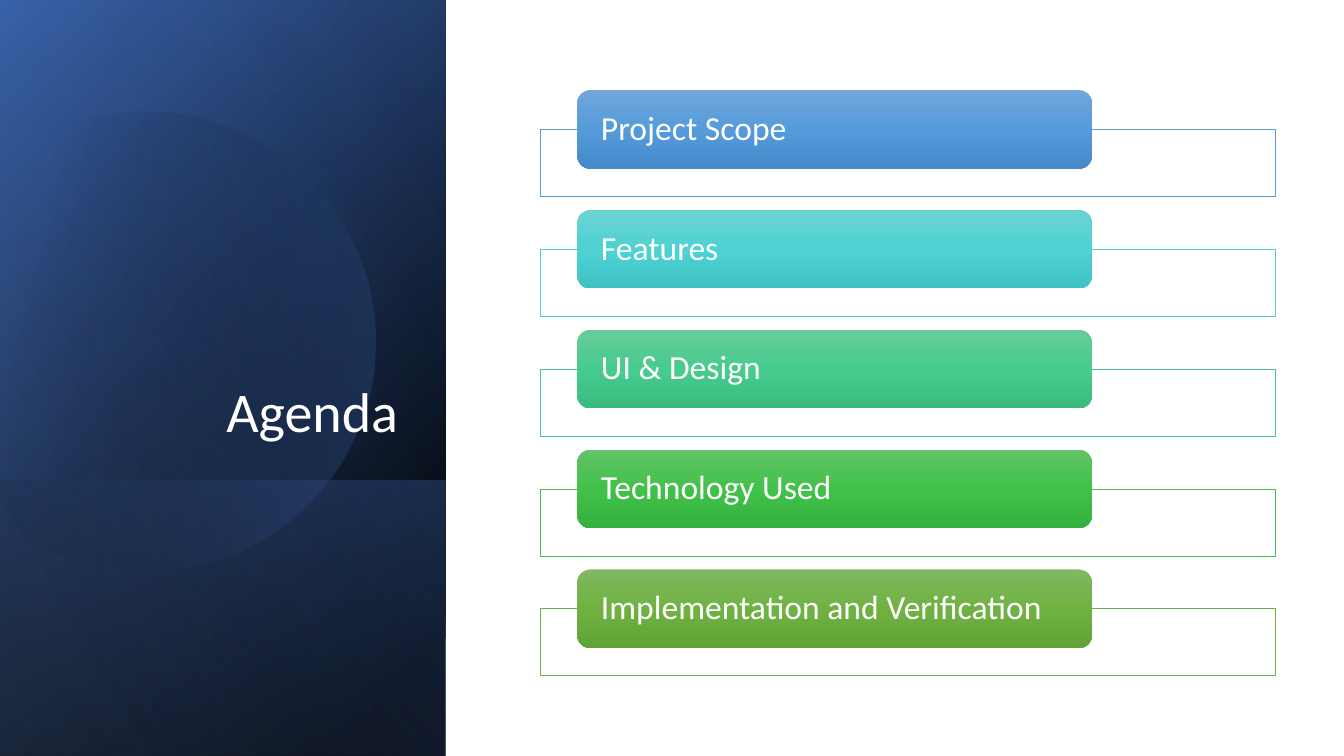
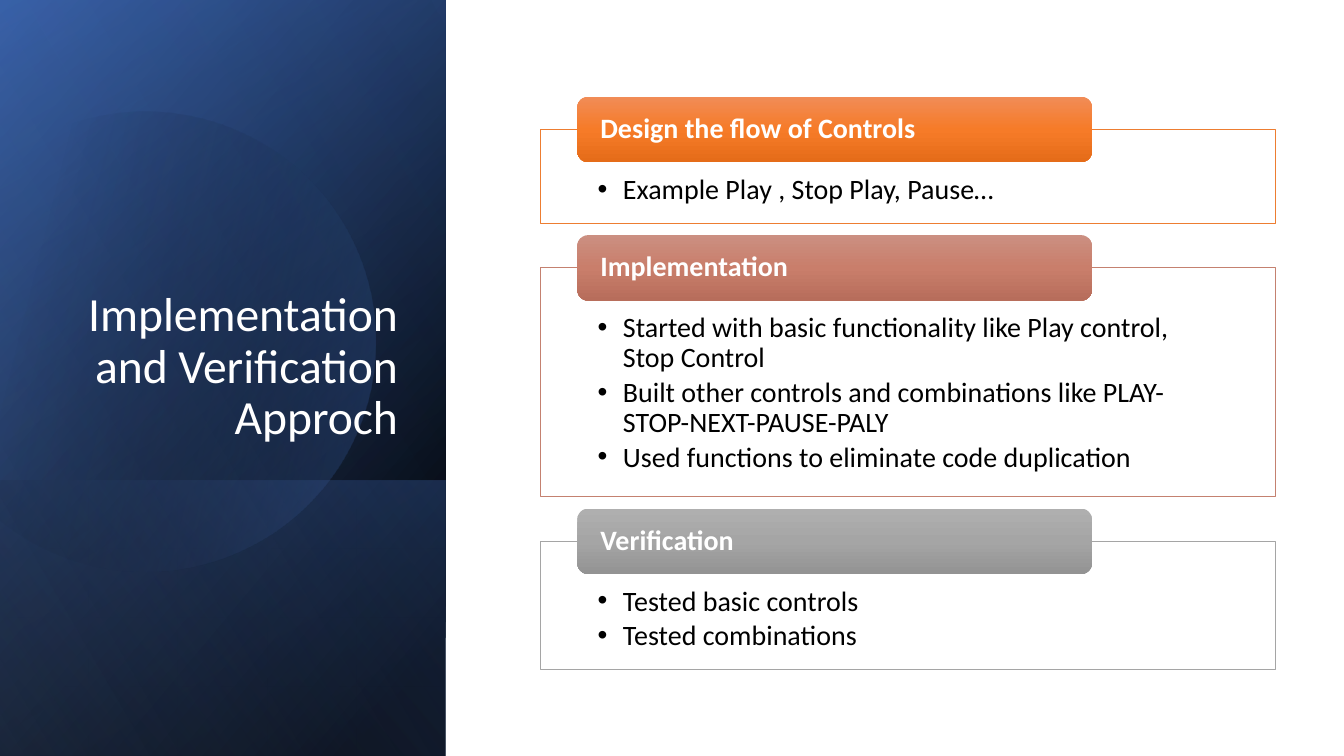
"""Build two slides that share a dark title panel and a stack of headed boxes."""
from math import cos, radians, sin

from pptx import Presentation
from pptx.dml.color import RGBColor
from pptx.enum.shapes import MSO_SHAPE as SHAPE
from pptx.enum.text import MSO_ANCHOR as ANCHOR, PP_ALIGN as ALIGN
from pptx.oxml import parse_xml
from pptx.oxml.ns import nsdecls, qn
from pptx.util import Cm, Pt

FONT = "Calibri"
WHITE, BLACK = "FFFFFF", "000000"
SLIDE_W, SLIDE_H = 33.87, 19.05
PANEL_W = 11.23
BOX_X, BOX_W, FIRST_BOX_Y = 13.61, 18.52, 3.26
HEAD_X, HEAD_W = 14.55, 12.97

# (length up from the bottom edge, angle, stops of position, colour, opacity)
PANEL_LAYERS = [
    (SLIDE_H, 50, [(8, BLACK, 100), (100, "2F5597", 100)]),
    (SLIDE_H, 30, [(0, BLACK, 0), (99, "4472C4", 46)]),
    (6.95, 130, [(2, "4472C4", 29), (100, BLACK, 30)]),
    (SLIDE_H, 120, [(0, BLACK, 0), (99, "8FAADC", 11)]),
]
DISC_X, DISC_Y, DISC_R = 3.64, 8.5, 5.8
DISC_ANGLES = [-118, -90, 0, 90, 150]
DISC_STOPS = [(29, BLACK, 0), (100, "4472C4", 43)]

SLIDES = [
    dict(title="Agenda", title_size=40, size=24, bold=False, head_h=1.98, gap=1.33, boxes=[
        ("Project Scope", 1.69, "5B9BD5", ["71A6DB", "559BDB", "448ACA"], []),
        ("Features", 1.69, "54CCCD", ["6CD3D3", "4ED2D3", "3EC2C3"], []),
        ("UI & Design", 1.69, "4DC58D", ["67CC9A", "47CB8E", "39BB7F"], []),
        ("Technology Used", 1.69, "48BB4F", ["63C368", "42C14A", "34B23D"], []),
        ("Implementation and Verification", 1.69, "70AD47",
         ["81B861", "6FB242", "62A336"], []),
    ]),
    dict(title="Implementation and Verification Approch", title_size=34, size=20, bold=True,
         head_h=1.65, gap=1.13, boxes=[
        ("Design the flow of Controls", 2.36, "ED7D31", ["F18C57", "F67B28", "E56C19"],
         ["Example Play , Stop Play, Pause…"]),
        ("Implementation", 5.76, "C48170", ["CB8F81", "C97E6B", "B76D5B"],
         ["Started with basic functionality like Play control, Stop Control",
          "Built other controls and combinations like PLAY-STOP-NEXT-PAUSE-PALY",
          "Used functions to eliminate code duplication"]),
        ("Verification", 3.23, "A5A5A5", ["AFAFAF", "A5A5A5", "939393"],
         ["Tested basic controls", "Tested combinations"]),
    ]),
]


def paint(sp, colour, angle=90, line=None):
    sp.shadow.inherit = False
    if line:
        sp.line.color.rgb = RGBColor.from_string(line)
        sp.line.width = Pt(0.5)
    else:
        sp.line.fill.background()
    if isinstance(colour, str):
        sp.fill.solid()
        sp.fill.fore_color.rgb = RGBColor.from_string(colour)
        return
    stops = "".join(
        f'<a:gs pos="{pos * 1000}"><a:srgbClr val="{rgb}"><a:alpha val="{alpha * 1000}"/>'
        f"</a:srgbClr></a:gs>" for pos, rgb, alpha in colour)
    sp.fill.background()
    props = sp._element.spPr
    props.replace(props.find(qn("a:noFill")), parse_xml(
        f'<a:gradFill {nsdecls("a")} rotWithShape="1"><a:gsLst>{stops}</a:gsLst>'
        f'<a:lin ang="{angle * 60000}" scaled="0"/></a:gradFill>'))


def write(sp, lines, size, colour=WHITE, bold=False, align=ALIGN.LEFT,
          anchor=ANCHOR.MIDDLE, insets=(0.5, 0, 0.5, 0), bullet=False):
    tf = sp.text_frame
    tf.word_wrap = True
    tf.vertical_anchor = anchor
    tf.margin_left, tf.margin_top, tf.margin_right, tf.margin_bottom = map(Cm, insets)
    for i, line in enumerate(lines):
        p = tf.add_paragraph() if i else tf.paragraphs[0]
        p.alignment = align
        p.line_spacing = 0.9
        if bullet:
            p.space_after = Pt(3)
            props = p._p.get_or_add_pPr()
            props.set("marL", str(Cm(0.64)))
            props.set("indent", str(-Cm(0.64)))
            props.append(parse_xml(f'<a:buFont {nsdecls("a")} typeface="Arial"/>'))
            props.append(parse_xml(f'<a:buChar {nsdecls("a")} char="•"/>'))
        r = p.add_run()
        r.text = line
        r.font.name, r.font.size, r.font.bold = FONT, Pt(size), bold
        r.font.color.rgb = RGBColor.from_string(colour)


prs = Presentation()
prs.slide_width, prs.slide_height = Cm(SLIDE_W), Cm(SLIDE_H)

for page in SLIDES:
    s = prs.slides.add_slide(prs.slide_layouts[6])

    for i, (length, angle, stops) in enumerate(PANEL_LAYERS):
        if i == len(PANEL_LAYERS) - 1:
            corners = [(Cm(DISC_X + DISC_R * cos(radians(a))),
                        Cm(DISC_Y + DISC_R * sin(radians(a)))) for a in DISC_ANGLES]
            outline = s.shapes.build_freeform(*corners[0])
            outline.add_line_segments(corners[1:], close=True)
            disc = outline.convert_to_shape()
            sides = list(disc._element.iter(qn("a:lnTo")))
            for side, start, end in zip(sides, DISC_ANGLES, DISC_ANGLES[1:]):
                side.getparent().replace(side, parse_xml(
                    f'<a:arcTo {nsdecls("a")} wR="{Cm(DISC_R)}" hR="{Cm(DISC_R)}" '
                    f'stAng="{start % 360 * 60000}" swAng="{(end - start) * 60000}"/>'))
            disc.rotation = 343.9
            paint(disc, DISC_STOPS, angle=30)
        layer = s.shapes.add_shape(
            SHAPE.RECTANGLE, Cm((PANEL_W - length) / 2),
            Cm(SLIDE_H - (length + PANEL_W) / 2), Cm(length), Cm(PANEL_W))
        layer.rotation = 90
        layer._element.spPr.xfrm.set("flipH", "1")
        paint(layer, stops, angle)

    title = s.shapes.add_textbox(Cm(1.63), Cm(4.69), Cm(8.65), Cm(6.65))
    write(title, [page["title"]], page["title_size"], align=ALIGN.RIGHT,
          anchor=ANCHOR.BOTTOM, insets=(0.25, 0.13, 0.25, 0.13))

    y = FIRST_BOX_Y
    for heading, height, line, shades, points in page["boxes"]:
        box = s.shapes.add_shape(SHAPE.RECTANGLE, Cm(BOX_X), Cm(y), Cm(BOX_W), Cm(height))
        paint(box, WHITE, line=line)
        if points:
            write(box, points, 20, colour=BLACK, anchor=ANCHOR.TOP,
                  insets=(1.45, 1.15, 1.45, 0.41), bullet=True)
        head = s.shapes.add_shape(SHAPE.ROUNDED_RECTANGLE, Cm(HEAD_X),
                                  Cm(y - page["head_h"] / 2), Cm(HEAD_W), Cm(page["head_h"]))
        paint(head, [(pos, shade, 100) for pos, shade in zip((0, 50, 100), shades)])
        write(head, [heading], page["size"], bold=page["bold"])
        y += height + page["gap"]

prs.save("out.pptx")
